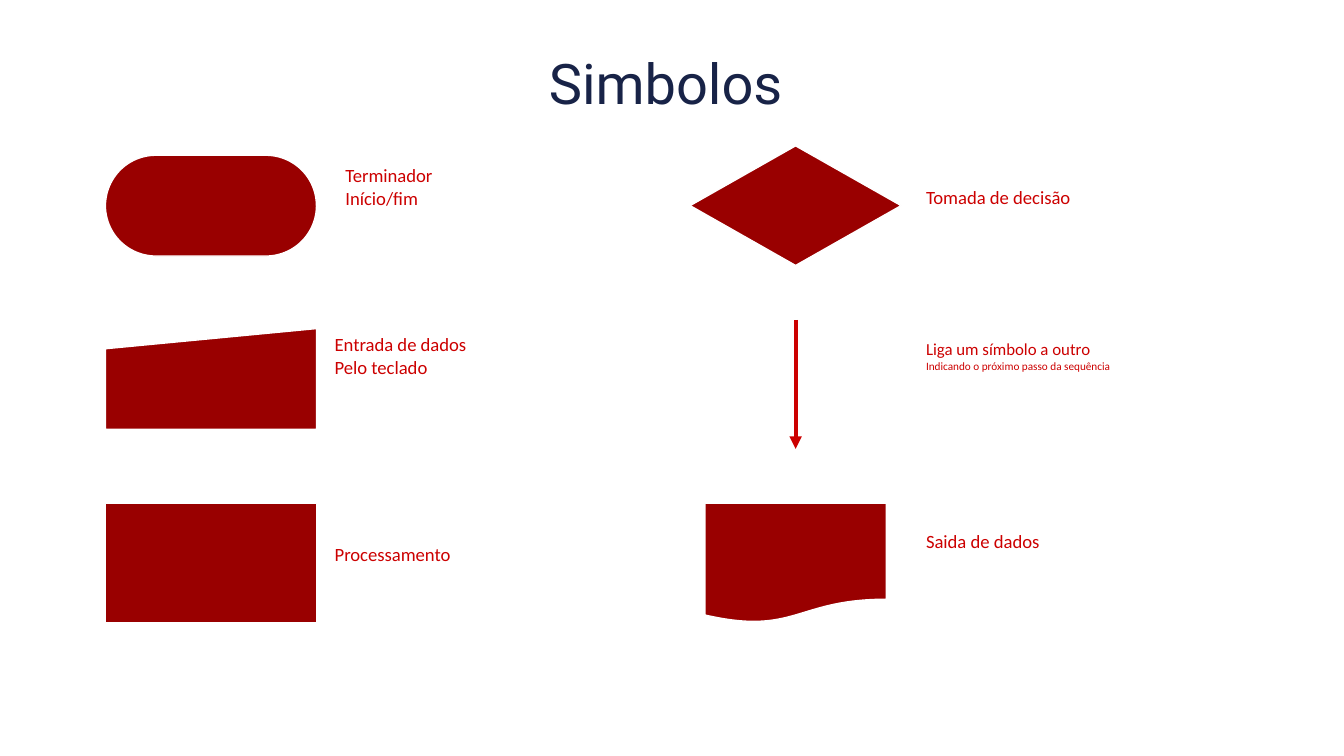
from lxml.etree import SubElement
from pptx import Presentation
from pptx.dml.color import RGBColor
from pptx.enum.shapes import MSO_CONNECTOR, MSO_SHAPE
from pptx.enum.text import MSO_ANCHOR, PP_ALIGN
from pptx.oxml.ns import qn
from pptx.util import Inches, Pt

NAVY = RGBColor(0x18, 0x23, 0x47)
RED = RGBColor(0xCC, 0x00, 0x00)
DARK_RED = RGBColor(0x99, 0x00, 0x00)
WHITE = RGBColor(0xFF, 0xFF, 0xFF)

SLIDE_W = 10
SLIDE_H = SLIDE_W * 9 / 16
COLUMNS = (1.57, 5.92)
ROWS = (1.53, 2.82, 4.19)
SYMBOL_W, LOW, TALL = 1.57, 0.75, 0.89
LABEL_W, ONE_LINE, TWO_LINES = 3.89, 0.3, 0.63


def add_text(s, box, lines, font, color, inset=0, align=PP_ALIGN.LEFT):
    """Add a text box with one paragraph for each (text, size) line."""
    tf = s.shapes.add_textbox(*map(Inches, box)).text_frame
    tf.word_wrap = True
    tf.vertical_anchor = MSO_ANCHOR.TOP
    tf.margin_left = tf.margin_right = Inches(inset)
    tf.margin_top = tf.margin_bottom = Inches(inset)
    for i, (text, size) in enumerate(lines):
        p = tf.add_paragraph() if i else tf.paragraphs[0]
        p.alignment = align
        r = p.add_run()
        r.text = text
        r.font.name = font
        r.font.size = Pt(size)
        r.font.color.rgb = color


def add_label(s, left, top, *lines):
    """Add the red explanation beside a symbol, kept within the slide."""
    width = min(LABEL_W, SLIDE_W - left)
    height = TWO_LINES if len(lines) > 1 else ONE_LINE
    add_text(s, (left, top, width, height), lines, "Calibri", RED)


def add_symbol(s, kind, col, row, height, width=SYMBOL_W):
    """Add a flowchart symbol centred on a grid cell."""
    left, top = COLUMNS[col] - width / 2, ROWS[row] - height / 2
    sp = s.shapes.add_shape(kind, *map(Inches, (left, top, width, height)))
    sp.shadow.inherit = False
    sp.fill.solid()
    sp.fill.fore_color.rgb = DARK_RED
    sp.line.color.rgb = WHITE
    sp.line.width = Pt(0.75)
    return sp


def add_arrow(s, x, top, bottom):
    """Add a downward flow arrow."""
    ends = map(Inches, (x, top, x, bottom))
    line = s.shapes.add_connector(MSO_CONNECTOR.STRAIGHT, *ends)
    line.line.color.rgb = RED
    line.line.width = Pt(2.25)
    SubElement(line.line._get_or_add_ln(), qn("a:tailEnd"), type="triangle")
    SubElement(line._element.spPr, qn("a:effectLst"))


def main():
    """Build the slide of flowchart symbols."""
    prs = Presentation()
    prs.slide_width, prs.slide_height = Inches(SLIDE_W), Inches(SLIDE_H)
    s = prs.slides.add_slide(prs.slide_layouts[6])

    add_text(s, (0.79, 0.26, 8.43, 0.63), [("Simbolos ", 30)],
             "Roboto", NAVY, 0.1, PP_ALIGN.CENTER)

    add_label(s, 2.57, 1.22, ("Terminador", 10), ("Início/fim", 10))
    terminator = add_symbol(s, MSO_SHAPE.ROUNDED_RECTANGLE, 0, 0, LOW)
    terminator.adjustments[0] = 0.5
    add_symbol(s, MSO_SHAPE.FLOWCHART_MANUAL_INPUT, 0, 1, LOW)
    add_label(s, 2.49, 2.48, ("Entrada de dados", 10), ("Pelo teclado", 10))
    add_symbol(s, MSO_SHAPE.RECTANGLE, 0, 2, TALL)
    add_label(s, 2.49, 4.04, ("Processamento", 10))

    add_symbol(s, MSO_SHAPE.FLOWCHART_DECISION, 1, 0, TALL)
    add_label(s, 6.89, 1.38, ("Tomada de decisão", 10))
    add_arrow(s, COLUMNS[1], 2.38, 3.34)
    add_label(s, 6.89, 2.52, ("Liga um símbolo a outro", 9),
              ("Indicando o próximo passo da sequência", 6))
    add_symbol(s, MSO_SHAPE.FLOWCHART_DOCUMENT, 1, 2, TALL, 1.35)
    add_label(s, 6.89, 3.94, ("Saida de dados", 10))

    prs.save("out.pptx")


if __name__ == "__main__":
    main()
